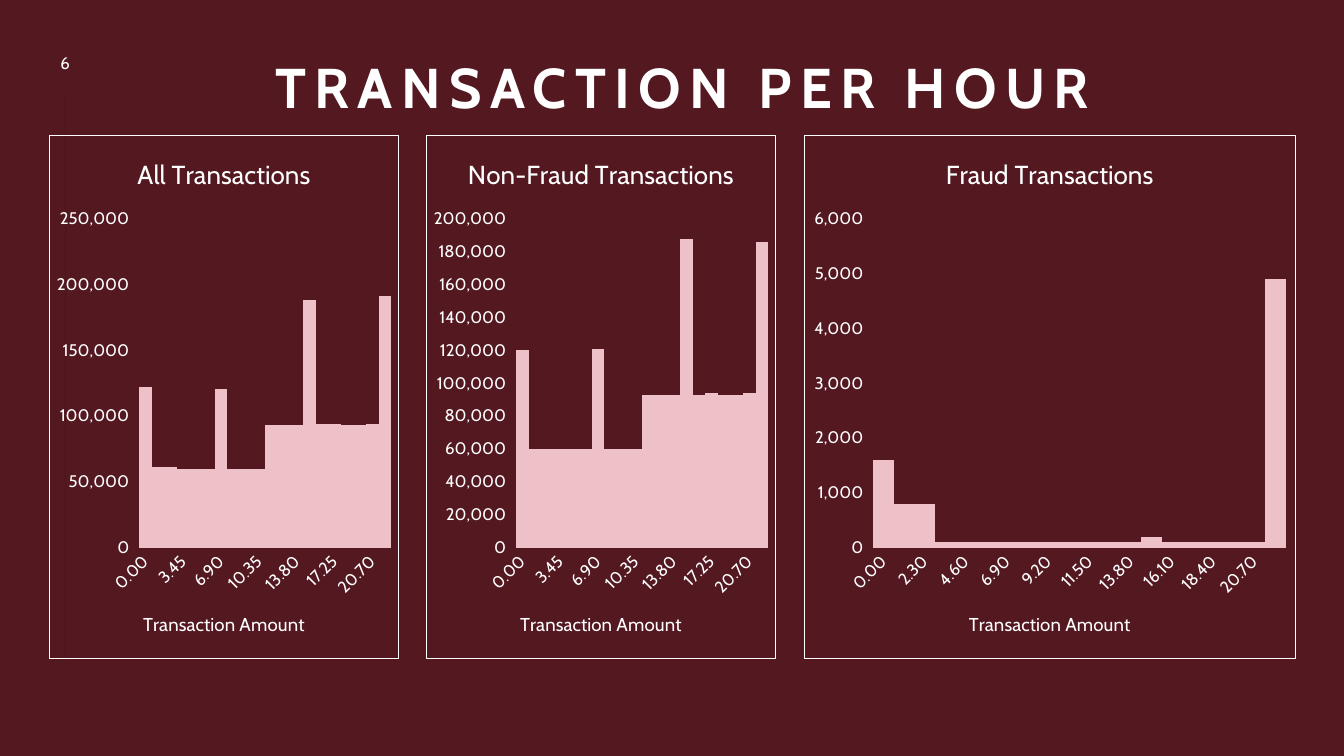
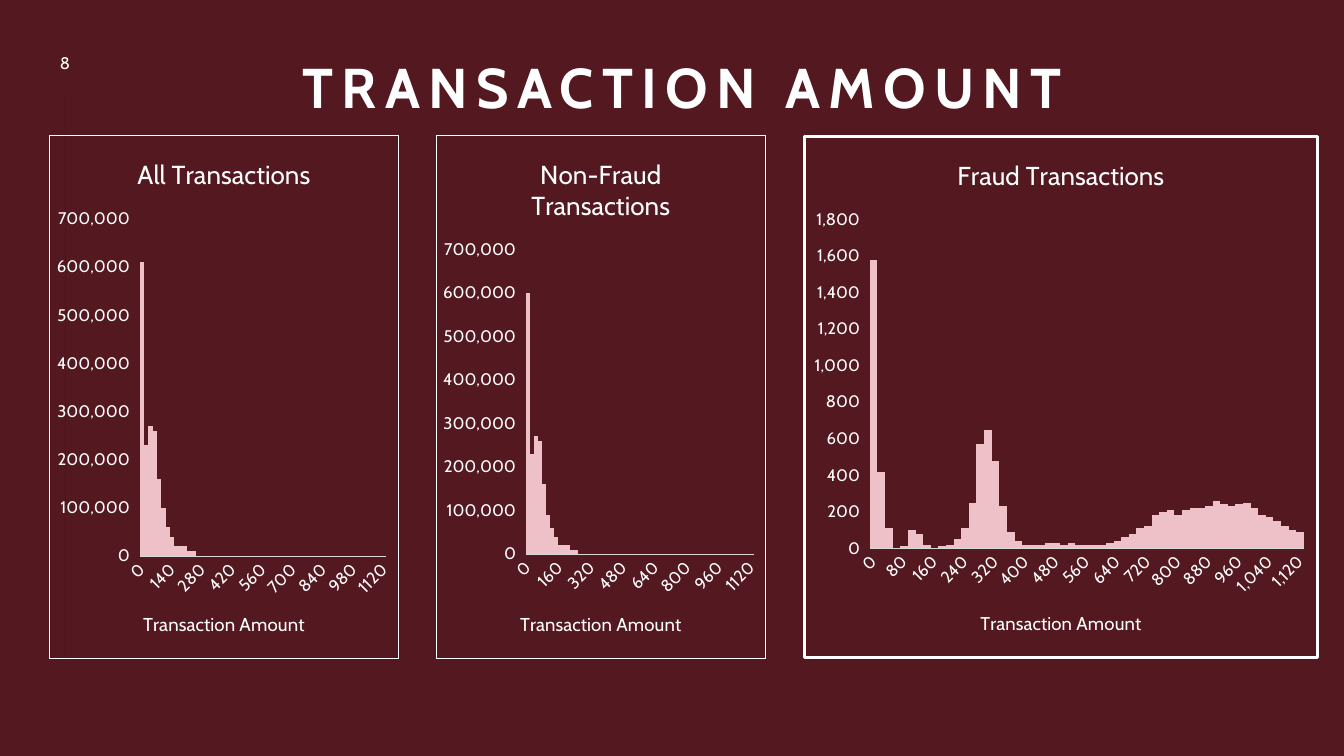
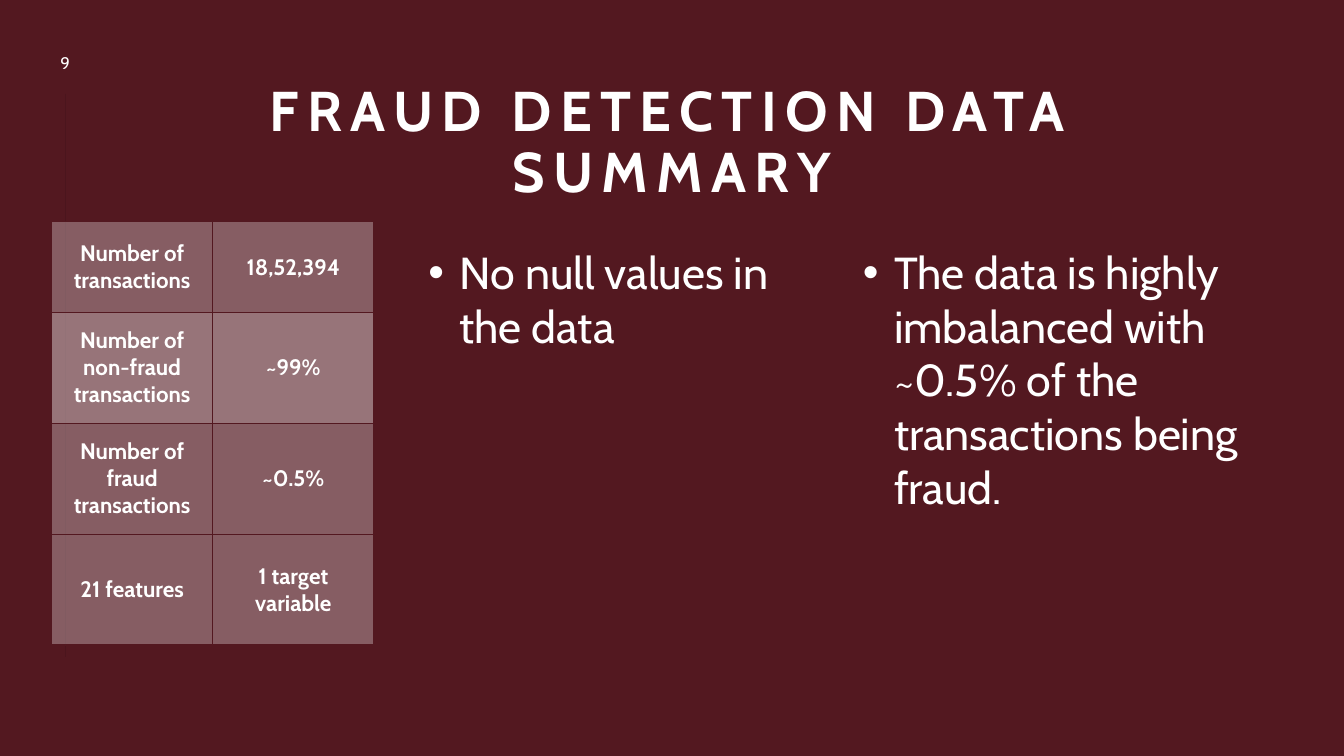
from dataclasses import dataclass
from typing import Optional

from lxml import etree
from pptx import Presentation
from pptx import util as u
from pptx.chart.data import CategoryChartData
from pptx.dml.color import RGBColor
from pptx.enum import chart as charts, shapes, text
from pptx.oxml import parse_xml
from pptx.oxml.ns import nsdecls, qn


@dataclass(frozen=True)
class Theme:
    font: str = "Cabin"
    background: str = "531820"
    rule: str = "4B151D"
    ink: str = "FFFFFF"
    bar: str = "EDC1C7"
    axis: str = "D9D9D9"
    title: float = 40
    title_spacing: float = 6
    bullet: float = 32
    cell: float = 16
    label: float = 12
    chart_title: float = 18.62
    axis_title: float = 13.3


THEME = Theme()
WIDTH, HEIGHT = u.Inches(13.33), u.Inches(7.5)


@dataclass(frozen=True)
class Box:
    """A place on the slide, in percent of its width and height."""
    left: float
    top: float
    width: float
    height: float

    def emu(self) -> tuple[int, int, int, int]:
        return (int(WIDTH * self.left / 100), int(HEIGHT * self.top / 100),
                int(WIDTH * self.width / 100), int(HEIGHT * self.height / 100))


@dataclass(frozen=True)
class Histogram:
    title: str
    left: float
    width: float
    values: list[Optional[float]]
    maximum: float
    step: float
    category_format: str
    border: float = 0.75


@dataclass(frozen=True)
class Bullet:
    left: float
    height: float
    words: str


# Shared places
TITLE_BOX = Box(6.15, 1, 89.27, 15.6)
SUMMARY_TITLE_BOX = Box(9, 12.08, 82, 15.6)
NUMBER_BOX = Box(2.7, 6, 4.28, 4.53)
RULE = Box(4.88, 12.4, 0, 74.53)
CHART_TOP, CHART_HEIGHT = 17.87, 69.33
TABLE_BOX = Box(3.83, 29.33, 24, 56.13)
BULLET_TOP, BULLET_WIDTH = 31.7, 30.46

# Transactions per hour
HOURS = [round(1.15 * step, 2) for step in range(20)]
HOUR_CHARTS = [
    Histogram("All Transactions", 3.68, 26,
              [122000, 61000, 61000, 60000, 60000, 60000, 121000, 60000, 60000, 60000,
               93000, 93000, 93000, 188000, 94000, 94000, 93000, 93000, 94000, 191000],
              250000, 50000, "0.00"),
    Histogram("Non-Fraud Transactions", 31.73, 26,
              [120000, 60000, 60000, 60000, 60000, 60000, 121000, 60000, 60000, 60000,
               93000, 93000, 93000, 188000, 93000, 94000, 93000, 93000, 94000, 186000],
              200000, 20000, "0.00"),
    Histogram("Fraud Transactions", 59.82, 36.6,
              [1600, 800, 800] + [100] * 10 + [200] + [100] * 5 + [4900],
              6000, 1000, "0.00"),
]

# Transaction amounts
AMOUNTS = list(range(0, 1121, 20))
TAIL = [40000, 20000, 20000, 20000, 10000, 10000] + [0] * 44
AMOUNT_CHARTS = [
    Histogram("All Transactions", 3.68, 26,
              [610000, 230000, 270000, 260000, 160000, 100000, 60000] + TAIL,
              700000, 100000, "General"),
    Histogram("Non-Fraud Transactions", 32.44, 24.54,
              [600000, 230000, 270000, 260000, 160000, 90000, 60000] + TAIL,
              700000, 100000, "General"),
    Histogram("Fraud Transactions", 59.74, 38.41,
              [1580, 420, 110, None, 10, 100, 80, 20, 0, 10, 20, 50, 110, 250, 570,
               650, 480, 230, 90, 40, 20, 20, 20, 30, 30, 20, 30, 20, 20, 20, 20, 30,
               40, 60, 80, 110, 120, 180, 200, 210, 180, 210, 220, 220, 230, 260, 240,
               230, 240, 250, 220, 180, 170, 150, 120, 100, 90],
              1800, 200, "#,##0", 2.25),
]

# Data summary
SUMMARY_ROWS = [
    ("Number of transactions", "18,52,394"),
    ("Number of non-fraud transactions", "~99%"),
    ("Number of fraud transactions", "~0.5%"),
    ("21 features", "1 target variable"),
]
ROW_HEIGHTS = [0.9, 1.1, 1.1, 1.1]
ROW_OPACITY = [30, 40, 30, 30]
BULLETS = [
    Bullet(63.46, 44.4, "The data is highly imbalanced with ~0.5% of the "
                        "transactions being fraud."),
    Bullet(31.13, 15.73, "No null values in the data"),
]


def style_font(font, size: float, bold: bool = False, color: str = THEME.ink) -> None:
    font.name, font.size, font.bold = THEME.font, u.Pt(size), bold
    font.color.rgb = RGBColor.from_string(color)


def add_run(paragraph, words: str, size: float, bold: bool = False):
    run = paragraph.add_run()
    run.text = words
    style_font(run.font, size, bold)
    return run


def add_text(slide, box: Box, words: str, size: float, bold: bool = False,
             anchor=text.MSO_ANCHOR.MIDDLE, align=text.PP_ALIGN.CENTER):
    frame = slide.shapes.add_textbox(*box.emu()).text_frame
    frame.word_wrap, frame.vertical_anchor = True, anchor
    paragraph = frame.paragraphs[0]
    paragraph.alignment = align
    return frame, paragraph, add_run(paragraph, words, size, bold)


def start_slide(presentation, title: str, number: int, title_box: Box = TITLE_BOX):
    """Add a slide with its side rule, title and number."""
    slide = presentation.slides.add_slide(presentation.slide_layouts[6])
    left, top, _, height = RULE.emu()
    rule = slide.shapes.add_connector(
        shapes.MSO_CONNECTOR.STRAIGHT, left, top, left, top + height)
    rule.line.color.rgb = RGBColor.from_string(THEME.rule)
    rule.line.width = u.Pt(0.5)
    etree.SubElement(rule._element.spPr, qn("a:effectLst"))

    _, paragraph, run = add_text(slide, title_box, title, THEME.title, True,
                                 text.MSO_ANCHOR.BOTTOM)
    paragraph.line_spacing = 0.9
    run._r.get_or_add_rPr().set("spc", str(int(THEME.title_spacing * 100)))
    add_text(slide, NUMBER_BOX, str(number), THEME.label)
    return slide


def add_histogram(slide, histogram: Histogram, categories: list) -> None:
    data = CategoryChartData()
    data.categories = categories
    data.categories.number_format = histogram.category_format
    data.add_series("Series 1", histogram.values)
    box = Box(histogram.left, CHART_TOP, histogram.width, CHART_HEIGHT)
    chart = slide.shapes.add_chart(
        charts.XL_CHART_TYPE.COLUMN_CLUSTERED, *box.emu(), data).chart
    style_font(chart.font, 10, color="000000")
    chart.has_legend = False
    chart.has_title = True
    add_run(chart.chart_title.text_frame.paragraphs[0], histogram.title,
            THEME.chart_title)

    # Bars
    plot = chart.plots[0]
    plot.gap_width, plot.vary_by_categories = 0, False
    fill = plot.series[0].format.fill
    fill.solid()
    fill.fore_color.rgb = RGBColor.from_string(THEME.bar)

    # Axes
    across, up = chart.category_axis, chart.value_axis
    for axis, number_format in ((across, histogram.category_format), (up, "#,##0")):
        axis.has_major_gridlines = False
        axis.minor_tick_mark = charts.XL_TICK_MARK.NONE
        style_font(axis.tick_labels.font, THEME.label)
        axis.tick_labels.number_format = number_format
        axis.tick_labels.number_format_is_linked = False
    across.major_tick_mark = charts.XL_TICK_MARK.NONE
    across.format.line.color.rgb = RGBColor.from_string(THEME.axis)
    across.format.line.width = u.Pt(0.75)
    across._element.find(qn("c:txPr")).find(qn("a:bodyPr")).set("rot", "-2700000")
    add_run(across.axis_title.text_frame.paragraphs[0], "Transaction Amount",
            THEME.axis_title)
    up.major_tick_mark = charts.XL_TICK_MARK.OUTSIDE
    up.format.line.fill.background()
    up.minimum_scale, up.maximum_scale = 0, histogram.maximum
    up.major_unit = histogram.step

    # Border
    chart.element.find(qn("c:chart")).addnext(parse_xml(
        f'<c:spPr {nsdecls("c", "a")}><a:noFill/><a:ln w="{u.Pt(histogram.border)}">'
        f'<a:solidFill><a:srgbClr val="{THEME.ink}"/></a:solidFill></a:ln></c:spPr>'))


def fill_cell(cell, words: str, opacity: int) -> None:
    cell.vertical_anchor = text.MSO_ANCHOR.MIDDLE
    paragraph = cell.text_frame.paragraphs[0]
    paragraph.alignment = text.PP_ALIGN.CENTER
    add_run(paragraph, words, THEME.cell, True)
    cell.fill.solid()
    cell.fill.fore_color.rgb = RGBColor.from_string(THEME.ink)
    properties = cell._tc.tcPr
    color = properties.find(".//" + qn("a:srgbClr"))
    etree.SubElement(color, qn("a:alpha")).set("val", str(opacity * 1000))
    for index, side in enumerate(("lnL", "lnR", "lnT", "lnB")):
        properties.insert(index, parse_xml(
            f'<a:{side} {nsdecls("a")} w="{u.Pt(1)}"><a:solidFill>'
            f'<a:srgbClr val="{THEME.background}"/></a:solidFill></a:{side}>'))


def add_summary_table(slide) -> None:
    table = slide.shapes.add_table(len(SUMMARY_ROWS), 2, *TABLE_BOX.emu()).table
    table.first_row = table.horz_banding = False
    for row, height, words, opacity in zip(
            table.rows, ROW_HEIGHTS, SUMMARY_ROWS, ROW_OPACITY):
        row.height = u.Inches(height)
        for cell, cell_words in zip(row.cells, words):
            fill_cell(cell, cell_words, opacity)


def add_bullet(slide, bullet: Bullet) -> None:
    box = Box(bullet.left, BULLET_TOP, BULLET_WIDTH, bullet.height)
    frame, paragraph, _ = add_text(slide, box, bullet.words, THEME.bullet,
                                   anchor=text.MSO_ANCHOR.TOP,
                                   align=text.PP_ALIGN.LEFT)
    frame.auto_size = text.MSO_AUTO_SIZE.SHAPE_TO_FIT_TEXT
    properties = paragraph._p.get_or_add_pPr()
    indent = u.Inches(0.31)
    properties.set("marL", str(indent))
    properties.set("indent", str(-indent))
    etree.SubElement(properties, qn("a:buFont")).set("typeface", "Arial")
    etree.SubElement(properties, qn("a:buChar")).set("char", "•")


def main() -> None:
    presentation = Presentation()
    presentation.slide_width, presentation.slide_height = WIDTH, HEIGHT
    background = presentation.slide_master.background.fill
    background.solid()
    background.fore_color.rgb = RGBColor.from_string(THEME.background)

    # Chart slides
    for title, number, histograms, categories in (
            ("TRANSACTION PER HOUR", 6, HOUR_CHARTS, HOURS),
            ("TRANSACTION AMOUNT", 8, AMOUNT_CHARTS, AMOUNTS)):
        slide = start_slide(presentation, title, number)
        for histogram in histograms:
            add_histogram(slide, histogram, categories)

    # Summary slide
    slide = start_slide(presentation, "FRAUD DETECTION DATA SUMMARY", 9,
                        SUMMARY_TITLE_BOX)
    add_summary_table(slide)
    for bullet in BULLETS:
        add_bullet(slide, bullet)

    presentation.save("out.pptx")


if __name__ == "__main__":
    main()
